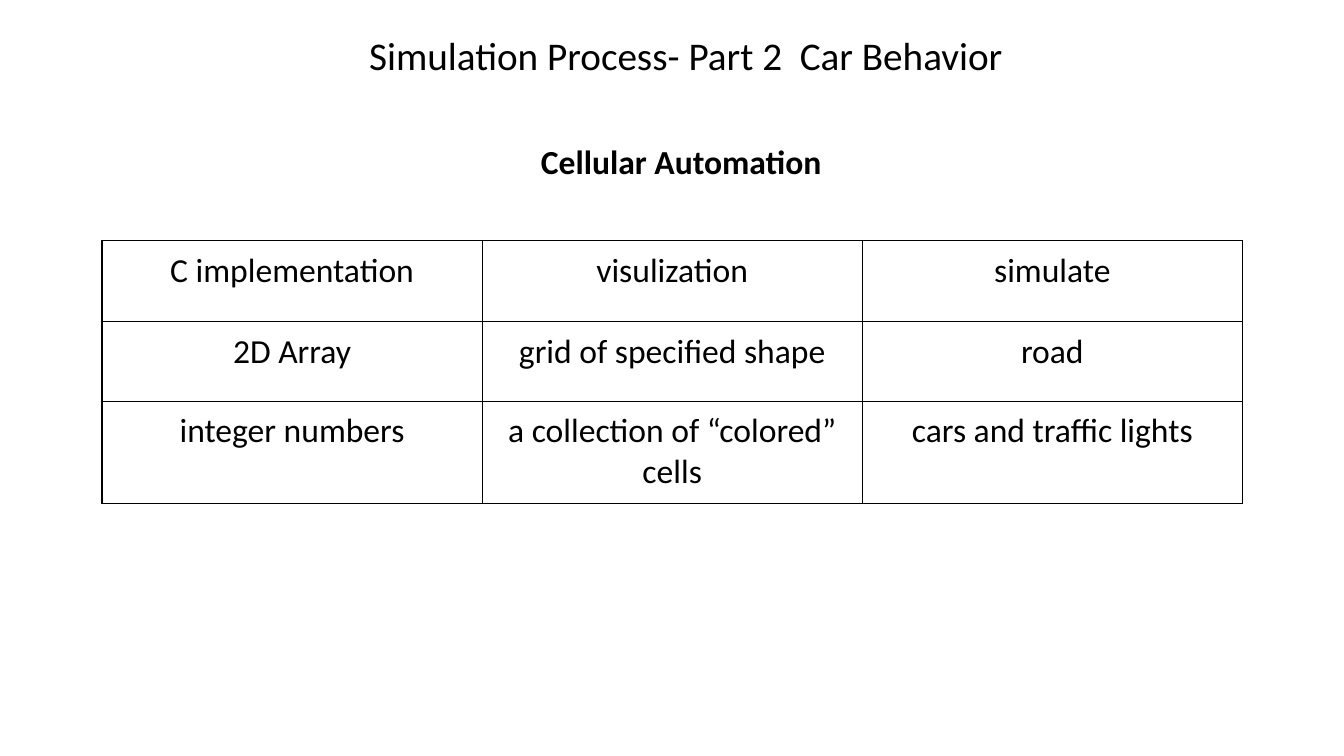
from lxml import etree
from pptx import Presentation
from pptx import util as u
from pptx.dml.color import RGBColor
from pptx.enum import text
from pptx.oxml.ns import qn

TITLE = "Simulation Process- Part 2  Car Behavior"
HEADING = "Cellular Automation"
ROWS = [
    ("C implementation", "visulization", "simulate"),
    ("2D Array", "grid of specified shape", "road"),
    ("integer numbers", "a collection of “colored” cells", "cars and traffic lights"),
]
THEME = {"font": "Calibri", "ink": "000000", "title": 28, "body": 24, "rule": 1}
INSET = u.Cm(0.25)
COLUMN_WIDTH = u.Cm(9.58)
ROW_HEIGHTS = [u.Cm(2.03), u.Cm(2.01), u.Cm(2.57)]


def write(frame, words, size, bold=False):
    para = frame.paragraphs[0]
    para.alignment = text.PP_ALIGN.CENTER
    span = para.add_run()
    span.text = words
    span.font.name = THEME["font"]
    span.font.size = u.Pt(size)
    span.font.bold = bold
    span.font.color.rgb = RGBColor.from_string(THEME["ink"])


def add_label(page, words, left, top, width, height, size, inset, bold=False):
    box = page.shapes.add_textbox(u.Cm(left), u.Cm(top), u.Cm(width), u.Cm(height))
    frame = box.text_frame
    frame.word_wrap = True
    frame.margin_left = frame.margin_right = INSET
    frame.margin_top = frame.margin_bottom = inset
    write(frame, words, size, bold)


def add_borders(cell):
    properties = cell._tc.get_or_add_tcPr()
    for index, side in enumerate(("a:lnL", "a:lnR", "a:lnT", "a:lnB")):
        line = etree.Element(qn(side), w=str(u.Pt(THEME["rule"])))
        fill = etree.SubElement(line, qn("a:solidFill"))
        etree.SubElement(fill, qn("a:srgbClr"), val=THEME["ink"])
        properties.insert(index, line)


def add_grid(page):
    frame = page.shapes.add_table(
        len(ROWS), len(ROWS[0]), u.Cm(2.57), u.Cm(6.07),
        COLUMN_WIDTH * len(ROWS[0]), sum(ROW_HEIGHTS))
    table = frame.table
    table.first_row = table.horz_banding = False
    for column in table.columns:
        column.width = COLUMN_WIDTH
    for row, height, words in zip(table.rows, ROW_HEIGHTS, ROWS):
        row.height = height
        for cell, word in zip(row.cells, words):
            cell.margin_left = cell.margin_right = INSET
            cell.margin_top = cell.margin_bottom = INSET
            cell.fill.background()
            add_borders(cell)
            write(cell.text_frame, word, THEME["body"])


def main():
    deck = Presentation()
    deck.slide_width, deck.slide_height = u.Cm(33.87), u.Cm(19.05)
    page = deck.slides.add_slide(deck.slide_layouts[6])
    add_grid(page)
    add_label(page, HEADING, 10.54, 3.3, 13.26, 1.7, THEME["body"], INSET, bold=True)
    add_label(page, TITLE, 7.3, 0.66, 19.96, 1.45, THEME["title"], u.Cm(0.13))
    deck.save("out.pptx")


if __name__ == "__main__":
    main()
